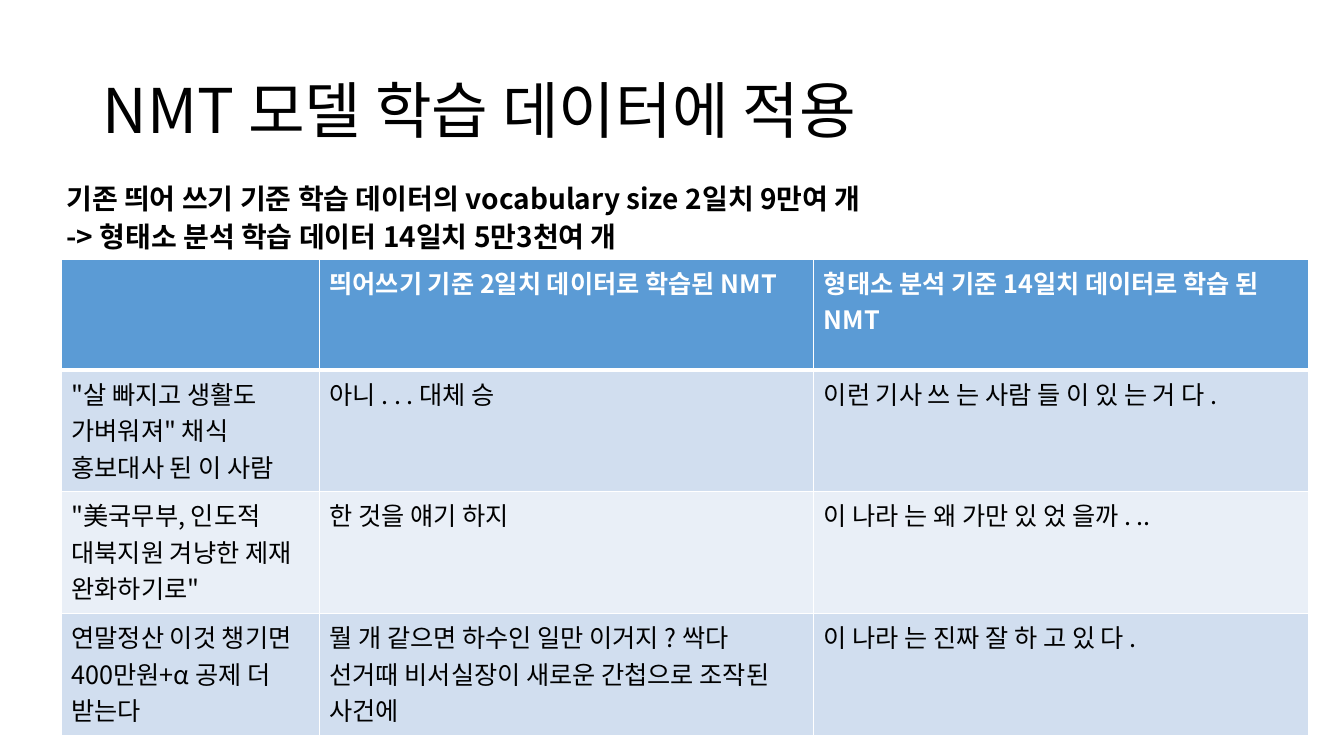
import lxml.etree
import pptx
import pptx.dml.color
import pptx.enum.text
import pptx.oxml.ns
import pptx.util

Cm = pptx.util.Cm
Pt = pptx.util.Pt
qn = pptx.oxml.ns.qn
ANCHOR = pptx.enum.text.MSO_ANCHOR

FONT = "Noto Sans CJK KR"
COLORS = {
    "ink": "000000",
    "white": "FFFFFF",
    "head": "5B9BD5",
    "odd": "D1DEEF",
    "even": "E9EFF7",
}
TITLE = "NMT 모델 학습 데이터에 적용"
LEAD = [
    "기존 띄어 쓰기 기준 학습 데이터의 vocabulary size 2일치 9만여 개",
    "-> 형태소 분석 학습 데이터 14일치 5만3천여 개",
]
ROWS = [
    ["", "띄어쓰기 기준 2일치 데이터로 학습된 NMT",
     "형태소 분석 기준 14일치 데이터로 학습 된 NMT"],
    ["\"살 빠지고 생활도 가벼워져\" 채식 홍보대사 된 이 사람",
     "아니 . . . 대체 승",
     "이런 기사 쓰 는 사람 들 이 있 는 거 다 ."],
    ["\"美국무부, 인도적 대북지원 겨냥한 제재 완화하기로\"",
     "한 것을 얘기 하지",
     "이 나라 는 왜 가만 있 었 을까 . .."],
    ["연말정산 이것 챙기면 400만원+α 공제 더 받는다",
     "뭘 개 같으면 하수인 일만 이거지 ? 싹다 선거때 비서실장이 "
     "새로운 간첩으로 조작된 사건에",
     "이 나라 는 진짜 잘 하 고 있 다 ."],
]


def rgb(name):
    """Return the named colour."""
    return pptx.dml.color.RGBColor.from_string(COLORS[name])


def style(frame, size, color="ink", bold=False):
    """Format every run of a text frame, Hangul included."""
    for para in frame.paragraphs:
        for run in para.runs:
            font = run.font
            font.name, font.size, font.bold = FONT, Pt(size), bold
            font.color.rgb = rgb(color)
            east = lxml.etree.Element(qn("a:ea"), typeface=FONT)
            run._r.rPr.find(qn("a:latin")).addnext(east)


def write(slide, box, lines, size, anchor, pitch, gap=0, bold=False):
    """Place a text box with one paragraph per line."""
    frame = slide.shapes.add_textbox(*map(Cm, box)).text_frame
    frame.word_wrap = True
    frame.vertical_anchor = anchor
    frame.text = "\n".join(lines)
    for para in frame.paragraphs:
        para.line_spacing = pitch
        para.space_before = Pt(gap)
    style(frame, size, bold=bold)
    return frame


def title(slide, box):
    """Place the slide title."""
    write(slide, box, [TITLE], 44, ANCHOR.MIDDLE, 0.9)


def lead(slide, box):
    """Place the two bold lines above the table."""
    frame = write(slide, box, LEAD, 20, ANCHOR.BOTTOM, 0.8, 8, True)
    frame.margin_top = 0


def edge(cell, last):
    """Draw white borders, with a thicker bottom when last is larger."""
    sides = {"L": 0.96, "R": 0.96, "T": 0.96, "B": last}
    for spot, (side, width) in enumerate(sides.items()):
        line = lxml.etree.Element(qn("a:ln" + side), w=str(Pt(width)))
        fill = lxml.etree.SubElement(line, qn("a:solidFill"))
        lxml.etree.SubElement(fill, qn("a:srgbClr"), val=COLORS["white"])
        cell._tc.get_or_add_tcPr().insert(spot, line)


def grid(slide, box):
    """Place the table that compares the two models."""
    table = slide.shapes.add_table(len(ROWS), 3, *map(Cm, box)).table
    wide, high = box[2:]
    first, top = 6.5, 2.79
    for col, width in zip(table.columns, [first] + [(wide - first) / 2] * 2):
        col.width = Cm(width)
    for r, texts in enumerate(ROWS):
        head = r == 0
        table.rows[r].height = Cm(top if head else (high - top) / 3)
        shade = "head" if head else ("odd" if r % 2 else "even")
        for c, text in enumerate(texts):
            cell = table.cell(r, c)
            cell.text_frame.text = text
            style(cell.text_frame, 18, "white" if head else "ink", head)
            cell.fill.solid()
            cell.fill.fore_color.rgb = rgb(shade)
            edge(cell, 3 if head else 0.96)


def main():
    """Build and save the slide."""
    deck = pptx.Presentation()
    deck.slide_width, deck.slide_height = Cm(33.87), Cm(19.05)
    slide = deck.slides.add_slide(deck.slide_layouts[6])
    title(slide, (2.34, 1.02, 29.21, 3.68))
    lead(slide, (1.42, 4.3, 29.62, 2.2))
    grid(slide, (1.55, 6.53, 31.42, 12.0))
    deck.save("out.pptx")


main()
